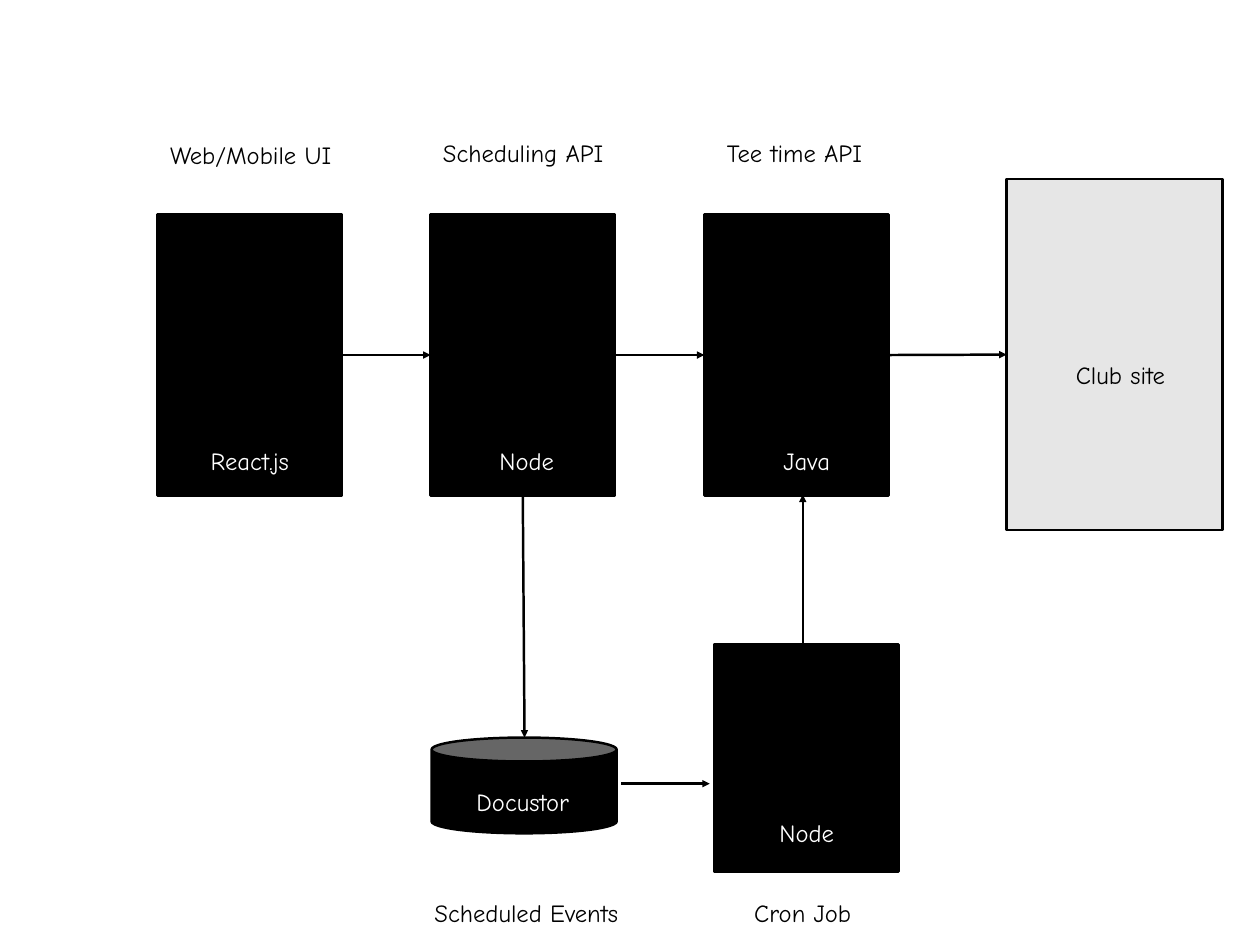
from dataclasses import dataclass
from typing import Optional

from lxml import etree
from pptx import Presentation
from pptx.dml.color import RGBColor
from pptx.enum.shapes import MSO_CONNECTOR, MSO_SHAPE
from pptx.enum.text import MSO_AUTO_SIZE, PP_ALIGN
from pptx.oxml.ns import qn
from pptx.shapes.autoshape import Shape
from pptx.slide import Slide
from pptx.util import Emu, Pt

RECTANGLE, CAN = MSO_SHAPE.RECTANGLE, MSO_SHAPE.CAN
STRAIGHT = MSO_CONNECTOR.STRAIGHT
CENTER = PP_ALIGN.CENTER
NO_AUTOFIT = MSO_AUTO_SIZE.NONE
LEFT_SIDE, BOTTOM_SIDE, RIGHT_SIDE = 1, 2, 3
EMU_PER_PX = 9144  # 100 px to the inch
SLIDE_SIZE = (1422, 1066)
LABEL_HEIGHT = 44


@dataclass(frozen=True)
class Theme:
    black: RGBColor = RGBColor(0x00, 0x00, 0x00)
    white: RGBColor = RGBColor(0xFF, 0xFF, 0xFF)
    grey: RGBColor = RGBColor(0xE6, 0xE6, 0xE6)
    font: str = "Comic Neue"
    label_size: Pt = Pt(20)
    line_width: Pt = Pt(2)


THEME = Theme()


@dataclass(frozen=True)
class Component:
    key: str
    left: int
    top: int
    width: int
    height: int
    fill: RGBColor = THEME.black
    kind: MSO_SHAPE = RECTANGLE


@dataclass(frozen=True)
class Label:
    text: str
    center: int
    top: int
    width: int
    color: RGBColor = THEME.black


@dataclass(frozen=True)
class Joint:
    key: str
    side: int


@dataclass(frozen=True)
class Flow:
    start: tuple[int, int]
    end: tuple[int, int]
    source: Optional[Joint] = None
    target: Optional[Joint] = None


SERVICE_TOP, SERVICE_WIDTH, SERVICE_HEIGHT = 242, 208, 317
SERVICE_LEFTS = {"web": 178, "scheduling": 486, "tee time": 795}

COMPONENTS = [
    Component("club", 1136, 202, 244, 396, THEME.grey),
    *(Component(key, left, SERVICE_TOP, SERVICE_WIDTH, SERVICE_HEIGHT)
      for key, left in SERVICE_LEFTS.items()),
    Component("events", 487, 832, 209, 108, kind=CAN),
    Component("cron", 806, 727, SERVICE_WIDTH, 256),
]

FLOWS = [
    Flow((386, 400), (486, 400), Joint("web", RIGHT_SIDE), Joint("scheduling", LEFT_SIDE)),
    Flow((694, 400), (795, 400), Joint("scheduling", RIGHT_SIDE), Joint("tee time", LEFT_SIDE)),
    Flow((1003, 400), (1136, 400), Joint("tee time", RIGHT_SIDE), Joint("club", LEFT_SIDE)),
    Flow((590, 559), (592, 832), Joint("scheduling", BOTTOM_SIDE)),
    Flow((701, 884), (801, 884)),
    Flow((906, 733), (906, 558)),
]

LABELS = [
    Label("Web/Mobile UI", 283, 153, 204),
    Label("Scheduling API", 590, 151, 201),
    Label("Tee time API", 896, 151, 175),
    Label("Club site", 1264, 401, 143),
    Label("React.js", 282, 498, 108, THEME.white),
    Label("Node", 594, 498, 81, THEME.white),
    Label("Java", 910, 498, 73, THEME.white),
    Label("Docustor", 590, 883, 124, THEME.white),
    Label("Node", 910, 918, 81, THEME.white),
    Label("Scheduled Events", 594, 1008, 228),
    Label("Cron Job", 906, 1008, 130),
]


def px(length: int) -> Emu:
    return Emu(length * EMU_PER_PX)


def draw_component(slide: Slide, component: Component) -> Shape:
    block = slide.shapes.add_shape(
        component.kind, px(component.left), px(component.top),
        px(component.width), px(component.height))
    block.shadow.inherit = False
    block.fill.solid()
    block.fill.fore_color.rgb = component.fill
    block.line.color.rgb = THEME.black
    block.line.width = THEME.line_width
    return block


def draw_flow(slide: Slide, flow: Flow, blocks: dict[str, Shape]) -> None:
    arrow = slide.shapes.add_connector(
        STRAIGHT, *(px(value) for value in flow.start + flow.end))
    if flow.source:
        arrow.begin_connect(blocks[flow.source.key], flow.source.side)
    if flow.target:
        arrow.end_connect(blocks[flow.target.key], flow.target.side)
    arrow.line.color.rgb = THEME.black
    arrow.line.width = THEME.line_width
    outline = arrow.line._get_or_add_ln()
    etree.SubElement(outline, qn("a:tailEnd"), type="triangle")
    etree.SubElement(arrow._element.spPr, qn("a:effectLst"))


def draw_label(slide: Slide, label: Label) -> None:
    caption = slide.shapes.add_textbox(
        px(label.center - label.width // 2), px(label.top),
        px(label.width), px(LABEL_HEIGHT))
    frame = caption.text_frame
    frame.word_wrap = False
    frame.auto_size = NO_AUTOFIT
    paragraph = frame.paragraphs[0]
    paragraph.text = label.text
    paragraph.alignment = CENTER
    paragraph.font.name = THEME.font
    paragraph.font.size = THEME.label_size
    paragraph.font.color.rgb = label.color


def main() -> None:
    presentation = Presentation()
    presentation.slide_width, presentation.slide_height = map(px, SLIDE_SIZE)
    blank_layout = presentation.slide_layouts[6]
    slide = presentation.slides.add_slide(blank_layout)
    blocks = {component.key: draw_component(slide, component) for component in COMPONENTS}
    for flow in FLOWS:
        draw_flow(slide, flow, blocks)
    for label in LABELS:
        draw_label(slide, label)
    presentation.save("out.pptx")


if __name__ == "__main__":
    main()
